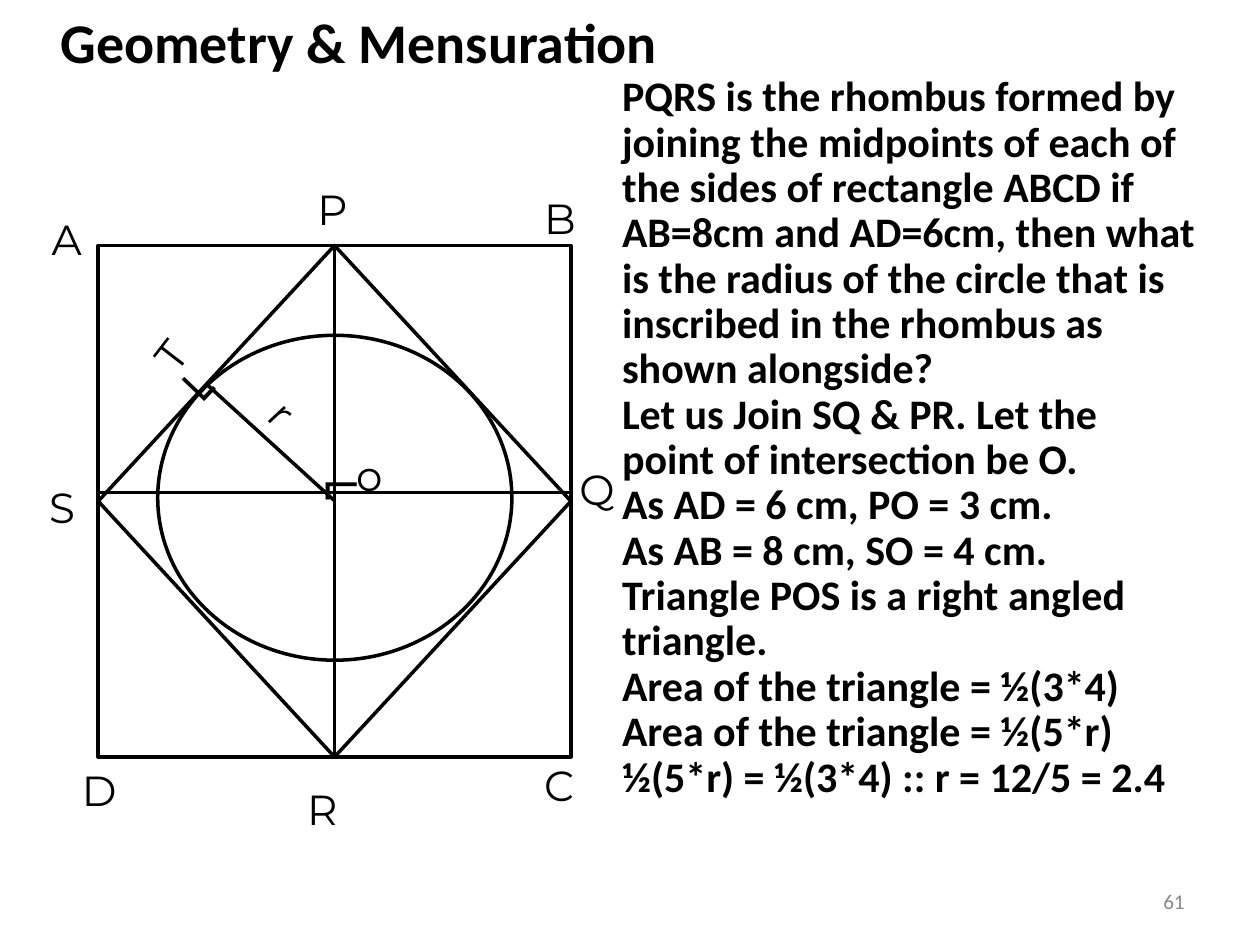
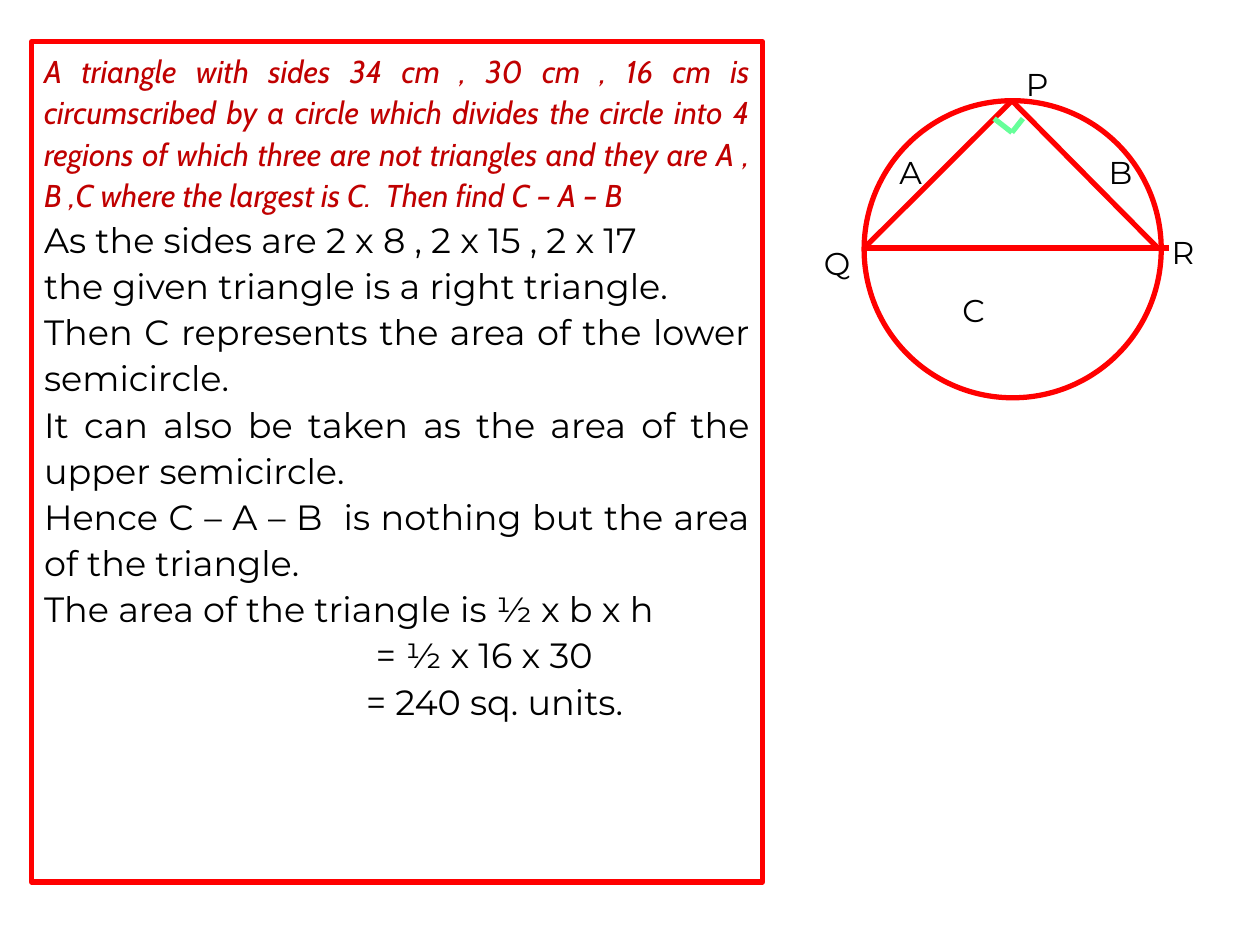
"""Builds two geometry slides: an inscribed circle and a circumscribed triangle."""
from lxml.etree import SubElement
from pptx import Presentation
from pptx.dml.color import RGBColor
from pptx.enum.shapes import MSO_CONNECTOR, MSO_SHAPE
from pptx.enum.text import MSO_ANCHOR, PP_ALIGN
from pptx.oxml.ns import qn
from pptx.util import Cm, Pt

BLACK, RED, DARK_RED, GREEN, GREY = "000000", "FF0000", "C00000", "66FF99", "898989"
CENTER, RIGHT, JUSTIFY = PP_ALIGN.CENTER, PP_ALIGN.RIGHT, PP_ALIGN.JUSTIFY

TITLE = "Geometry & Mensuration"
PAGE = "61"
RHOMBUS_SOLUTION = [
    "PQRS is the rhombus formed by joining the midpoints of each of the sides of "
    "rectangle ABCD if AB=8cm and AD=6cm, then what is the radius of the circle "
    "that is inscribed in the rhombus as shown alongside?",
    "Let us Join SQ & PR. Let the point of intersection be O.",
    "As AD = 6 cm, PO = 3 cm.",
    "As AB = 8 cm, SO = 4 cm.",
    "Triangle POS is a right angled triangle.",
    "Area of the triangle = ½(3*4)",
    "Area of the triangle = ½(5*r)",
    "½(5*r) = ½(3*4) :: r = 12/5 = 2.4",
]
RECTANGLE = (1.98, 4.95, 9.53, 10.31)
INSCRIBED_CIRCLE = (3.18, 6.76, 7.14, 6.55)
DIAGONAL_Y = 9.93
RADIUS = (6.75, 10.1, 4.17, 7.75)
RHOMBUS_LABELS = [
    ("A", 0.79, 4.17, 1.4, 0), ("B", 10.72, 3.76, 1.4, 0),
    ("C", 10.72, 15.19, 1.4, 0), ("D", 1.4, 15.29, 1.4, 0),
    ("P", 6.15, 3.58, 1.4, 0), ("R", 5.94, 15.67, 1.4, 0),
    ("S", 0.74, 9.58, 1.4, 0), ("Q", 11.43, 9.22, 1.4, 0),
    ("o", 6.93, 8.94, 1.19, 0), ("T", 2.9, 6.43, 1.19, 307.6),
    ("r", 5.23, 7.82, 1.19, 47),
]
RIGHT_ANGLES = [(5.97, 8.94, 270), (3.56, 7.32, 133.7)]

QUESTION = (
    "A triangle with sides 34 cm , 30 cm , 16 cm is circumscribed by a circle which "
    "divides the circle into 4 regions of which three are not triangles and they are "
    "A , B ,C where the largest is C.  Then find C – A – B"
)
ANSWER = [
    ("As the sides are 2 x 8 , 2 x 15 , 2 x 17", 0),
    ("the given triangle is a right triangle.", 0),
    ("Then C represents the area of the lower semicircle.", 0),
    ("It can also be taken as the area of the upper semicircle.", 0),
    ("Hence C – A – B  is nothing but the area of the triangle.", 0),
    ("The area of the triangle is ½ x b x h", 0),
    ("= ½ x 16 x 30", 6.69),
    ("= 240 sq. units.", 6.49),
]
FRAME = (0.64, 0.84, 14.73, 16.94)
CIRCLE = (17.42, 2.03, 5.99, 5.99)
P, Q, R = (20.4, 2.03), (17.42, 5), (23.34, 5)
CHORD_END = (23.57, 5)
TRIANGLE_LINES = [
    (*Q, *CHORD_END, RED), (*Q, *P, RED), (*P, *R, RED),
    (20.04, 2.39, 20.4, 2.67, GREEN), (20.4, 2.67, 20.62, 2.39, GREEN),
]
VERTEX_LABELS = [("P", 20.4, 1.19), ("Q", 16.36, 4.8), ("R", 23.34, 4.57)]
REGION_LABELS = [("A", 17.88, 2.97), ("B", 22.1, 2.97), ("C", 19.15, 5.74)]


def color(value):
    return RGBColor.from_string(value)


def write(frame, text, size=24, font="Montserrat", ink=BLACK, bold=False,
          italic=False, align=PP_ALIGN.LEFT, spacing=1.0, indent=0):
    paragraph = frame.paragraphs[0]
    if paragraph.runs:
        paragraph = frame.add_paragraph()
    paragraph.alignment = align
    paragraph.line_spacing = spacing
    if indent:
        paragraph._p.get_or_add_pPr().set("marL", str(Cm(indent)))
    run = paragraph.add_run()
    run.text = text
    run.font.name, run.font.size = font, Pt(size)
    run.font.bold, run.font.italic = bold, italic
    run.font.color.rgb = color(ink)


def text_box(slide, place, turn=0, anchor=MSO_ANCHOR.TOP):
    box = slide.shapes.add_textbox(*map(Cm, place))
    box.rotation = turn
    box.text_frame.word_wrap = True
    box.text_frame.vertical_anchor = anchor
    return box.text_frame


def outline(slide, kind, place, ink, width):
    shape = slide.shapes.add_shape(kind, *map(Cm, place))
    shape.shadow.inherit = False
    shape.fill.background()
    shape.line.color.rgb = color(ink)
    shape.line.width = Pt(width)
    return shape


def segment(slide, ends, ink, width):
    line = slide.shapes.add_connector(MSO_CONNECTOR.STRAIGHT, *map(Cm, ends))
    line.line.color.rgb = color(ink)
    line.line.width = Pt(width)
    SubElement(line._element.spPr, qn("a:effectLst"))
    return line


def build_rhombus(slide):
    solution = text_box(slide, (12.29, 1.4, 12.12, 16.28))
    for step in RHOMBUS_SOLUTION:
        write(solution, step, font="Calibri", bold=True, spacing=0.9)

    rectangle = outline(slide, MSO_SHAPE.RECTANGLE, RECTANGLE, BLACK, 2)
    outline(slide, MSO_SHAPE.FLOWCHART_DECISION, RECTANGLE, BLACK, 2)
    outline(slide, MSO_SHAPE.OVAL, INSCRIBED_CIRCLE, BLACK, 2)

    left, top, width, height = RECTANGLE
    middle = left + width / 2
    diagonal_pr = segment(slide, (middle, top, middle, top + height), BLACK, 2)
    diagonal_pr.begin_connect(rectangle, 0)
    diagonal_pr.end_connect(rectangle, 2)
    segment(slide, (left, DIAGONAL_Y, left + width, DIAGONAL_Y), BLACK, 2)
    segment(slide, RADIUS, BLACK, 2)

    for letter, x, y, label_width, turn in RHOMBUS_LABELS:
        write(text_box(slide, (x, y, label_width, 1.27), turn), letter)
    for x, y, turn in RIGHT_ANGLES:
        corner = text_box(slide, (x, y, 1.17, 1.57), turn, MSO_ANCHOR.MIDDLE)
        write(corner, "┐", size=28, bold=True)

    title = text_box(slide, (0.79, 0.25, 12.9, 1.14), anchor=MSO_ANCHOR.MIDDLE)
    write(title, TITLE, size=32, font="Calibri", bold=True, align=CENTER)
    page = text_box(slide, (18.21, 17.65, 5.92, 1.02), anchor=MSO_ANCHOR.MIDDLE)
    write(page, PAGE, size=12, font="Calibri", ink=GREY, align=RIGHT)


def build_triangle(slide):
    problem = outline(slide, MSO_SHAPE.RECTANGLE, FRAME, RED, 3).text_frame
    problem.word_wrap = True
    problem.vertical_anchor = MSO_ANCHOR.TOP
    write(problem, QUESTION, size=18, font="Cabin", ink=DARK_RED, italic=True,
          align=JUSTIFY, spacing=1.1)
    for step, indent in ANSWER:
        write(problem, step, size=20, align=JUSTIFY, spacing=1.1, indent=indent)

    outline(slide, MSO_SHAPE.OVAL, CIRCLE, RED, 3)
    for *ends, ink in TRIANGLE_LINES:
        segment(slide, ends, ink, 3)
    for labels, align in ((VERTEX_LABELS, CENTER), (REGION_LABELS, PP_ALIGN.LEFT)):
        for letter, x, y in labels:
            write(text_box(slide, (x, y, 1.02, 1.02)), letter, size=18, align=align)


def main():
    deck = Presentation()
    deck.slide_width, deck.slide_height = Cm(25.4), Cm(19.05)
    for build in (build_rhombus, build_triangle):
        build(deck.slides.add_slide(deck.slide_layouts[6]))
    deck.save("out.pptx")


if __name__ == "__main__":
    main()
